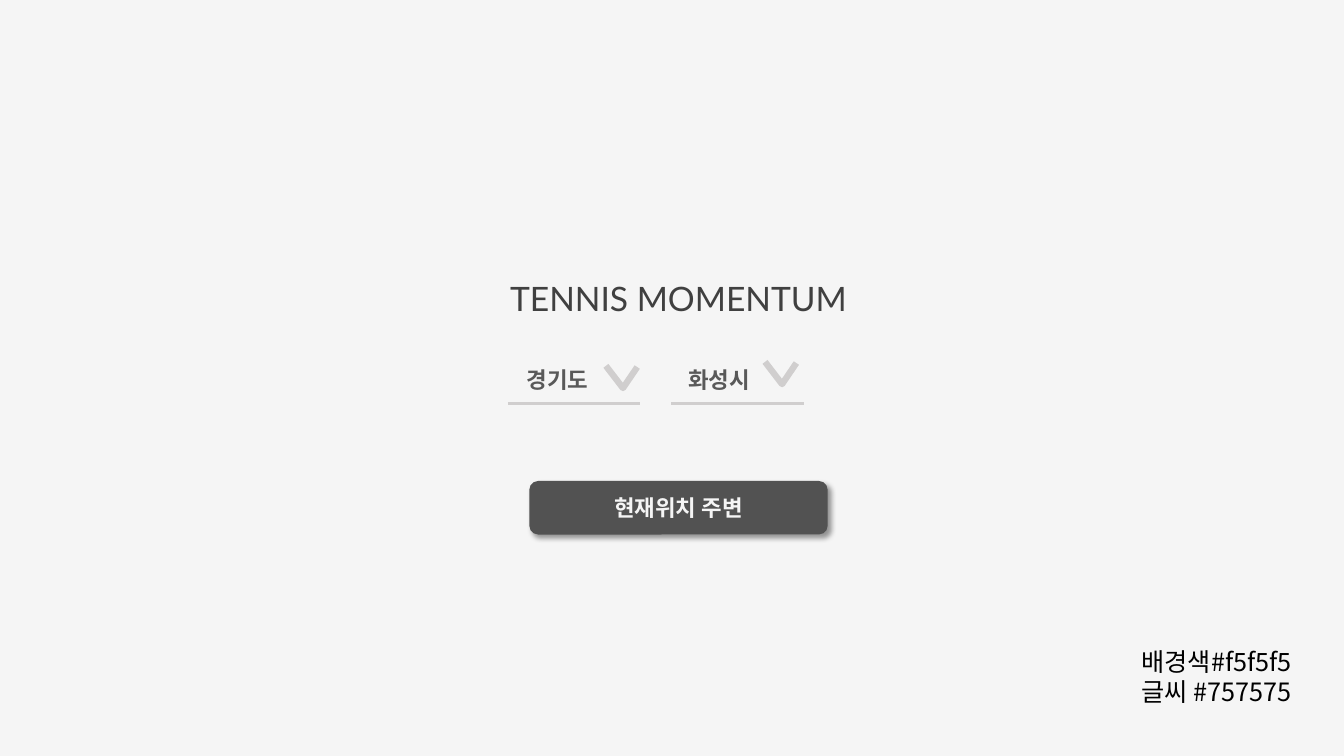
from dataclasses import dataclass

from lxml.etree import SubElement
from pptx import Presentation
from pptx.dml.color import RGBColor
from pptx.enum.shapes import MSO_CONNECTOR, MSO_SHAPE as Shape
from pptx.enum.text import MSO_ANCHOR as Anchor, PP_ALIGN as Align
from pptx.oxml.ns import qn
from pptx.util import Cm, Pt

# Content: text, box (left, top, width, height in cm)
TITLE = ("TENNIS MOMENTUM", (10.8, 6.88, 12.6, 1.27))
BUTTON = ("현재위치 주변", (13.34, 12.12, 7.52, 1.35))
NOTE = ("배경색#f5f5f5\n글씨 #757575", (28.52, 16.15, 4.5, 1.8))
# Each dropdown: text, label box, underline left, chevron start
DROPDOWNS = [
    ("경기도", (13.03, 9.09, 2.24, 0.94), 12.8, (15.27, 9.22)),
    ("화성시", (17.09, 9.09, 3.56, 0.94), 16.92, (19.28, 9.12)),
]
UNDERLINE_TOP, UNDERLINE_WIDTH = 10.16, 3.33
CHEVRON_STEPS = [(0.43, 0.56), (0.79, 0.03)]


@dataclass
class Theme:
    background: str = "F5F5F5"
    button: str = "525252"
    line: str = "D0CECE"
    title: str = "404040"
    label: str = "595959"
    note: str = "000000"
    latin: str = "Arial"
    title_font: str = "Lato"
    korean: str = "Noto Sans CJK KR"
    title_size: int = 24
    note_size: int = 18
    label_size: int = 16
    underline: float = 2.25
    chevron: float = 4.5


theme = Theme()


def rgb(value):
    return RGBColor.from_string(value)


def write(box, text, name, size, color, bold=False, align=Align.LEFT, wrap=True):
    frame = box.text_frame
    frame.word_wrap = wrap
    frame.text = text
    for para in frame.paragraphs:
        para.alignment = align
        font = para.font
        font.name, font.size, font.bold = name, Pt(size), bold
        font.color.rgb = rgb(color)
        properties = para._p.get_or_add_pPr().find(qn("a:defRPr"))
        SubElement(properties, qn("a:ea"), typeface=theme.korean)


def add_text(page, text, place, *style, **options):
    box = page.shapes.add_textbox(*map(Cm, place))
    write(box, text, *style, **options)


def add_button(page, text, place):
    button = page.shapes.add_shape(Shape.ROUNDED_RECTANGLE, *map(Cm, place))
    button.fill.solid()
    button.fill.fore_color.rgb = rgb(theme.button)
    button.line.fill.background()
    button.shadow.inherit = False
    effects = button._element.spPr.find(qn("a:effectLst"))
    shadow = SubElement(effects, qn("a:outerShdw"), blurRad=str(Pt(4)),
                        dist=str(Pt(3)), dir="2700000", algn="tl", rotWithShape="0")
    color = SubElement(shadow, qn("a:srgbClr"), val="000000")
    SubElement(color, qn("a:alpha"), val="40000")
    button.text_frame.vertical_anchor = Anchor.MIDDLE
    write(button, text, theme.latin, theme.label_size, theme.background,
          bold=True, align=Align.CENTER)


def add_dropdown(page, text, place, left, start):
    underline = page.shapes.add_connector(
        MSO_CONNECTOR.STRAIGHT, Cm(left), Cm(UNDERLINE_TOP),
        Cm(left + UNDERLINE_WIDTH), Cm(UNDERLINE_TOP))
    SubElement(underline._element.spPr, qn("a:effectLst"))
    add_text(page, text, place, theme.latin, theme.label_size, theme.label, bold=True)

    x, y = start
    builder = page.shapes.build_freeform(Cm(x), Cm(y))
    builder.add_line_segments(
        [(Cm(x + dx), Cm(y + dy)) for dx, dy in CHEVRON_STEPS], close=False)
    chevron = builder.convert_to_shape()
    chevron.fill.background()
    chevron.shadow.inherit = False

    for stroke, width in ((underline, theme.underline), (chevron, theme.chevron)):
        stroke.line.color.rgb = rgb(theme.line)
        stroke.line.width = Pt(width)


def main():
    deck = Presentation()
    deck.slide_width, deck.slide_height = Cm(33.87), Cm(19.05)
    page = deck.slides.add_slide(deck.slide_layouts[6])
    page.background.fill.solid()
    page.background.fill.fore_color.rgb = rgb(theme.background)

    # Colour note
    add_text(page, *NOTE, theme.korean, theme.note_size, theme.note, wrap=False)

    # Search controls
    add_button(page, *BUTTON)
    for dropdown in DROPDOWNS:
        add_dropdown(page, *dropdown)

    # Title
    add_text(page, *TITLE, theme.title_font, theme.title_size, theme.title,
             align=Align.CENTER)
    deck.save("out.pptx")


if __name__ == "__main__":
    main()
